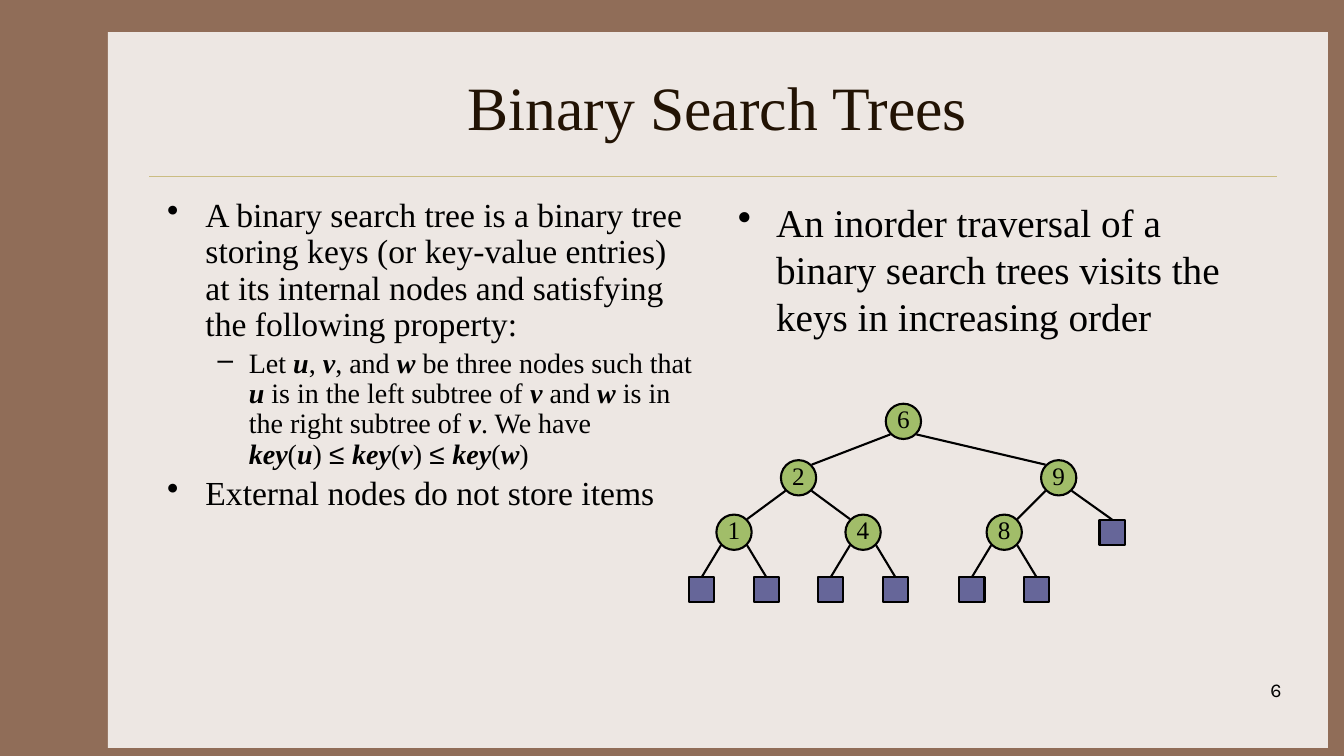
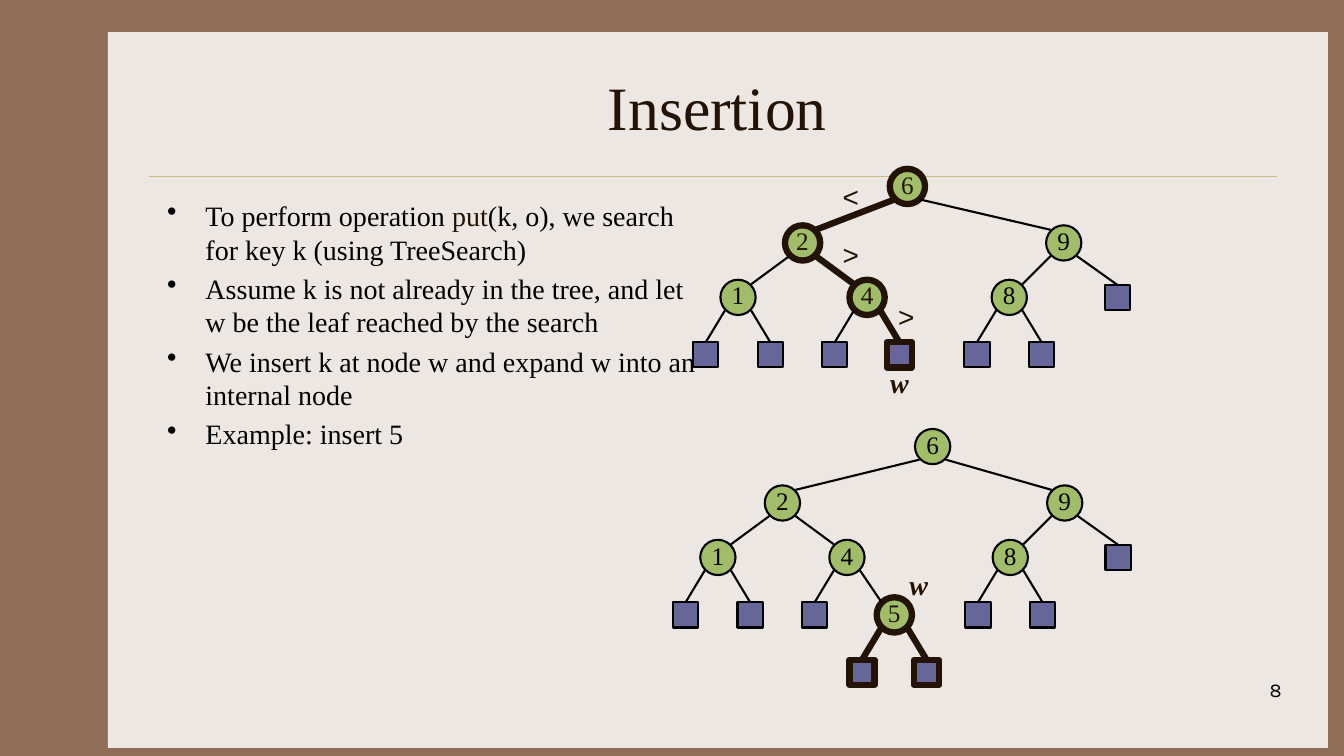
import dataclasses
import typing

import pptx
import pptx.dml.color
import pptx.enum.shapes
import pptx.enum.text
import pptx.oxml.ns
import pptx.util
from lxml import etree

Inches = pptx.util.Inches
Pt = pptx.util.Pt
Shape = pptx.enum.shapes.MSO_SHAPE
Anchor = pptx.enum.text.MSO_ANCHOR
Align = pptx.enum.text.PP_ALIGN

SERIF, SANS, NUMBER_FONT = "Times New Roman", "Arial", "Karla"
BROWN, PAPER, GOLD = "906D58", "EDE7E3", "CBBD83"
INK, ACCENT = "000000", "221304"
NODE_FILL, LEAF_FILL = "A1BD69", "666699"

NODE_SIZE, LEAF_SIZE = 0.35, 0.25
LEVEL_CENTERS = (0.18, 0.74, 1.28, 1.85, 2.42)
EDGE_INSET = 0.13
LEAF_DX = 0.32
BODY_BOX = (1.56, 1.92, 5.44, 4.5)


@dataclasses.dataclass
class Node:
    """A tree node; dx is its centre's offset from its parent, no key means a leaf."""
    dx: float
    key: str = ""
    children: typing.Tuple["Node", ...] = ()
    marked: bool = False


def color(hex_code):
    return pptx.dml.color.RGBColor.from_string(hex_code)


def set_font(font, name, size, hex_code):
    font.name, font.size = name, Pt(size)
    font.color.rgb = color(hex_code)


def add_box(slide, kind, left, top, width, height, fill, line=None, weight=1.5):
    box = slide.shapes.add_shape(kind, Inches(left), Inches(top), Inches(width), Inches(height))
    box.shadow.inherit = False
    box.fill.solid()
    box.fill.fore_color.rgb = color(fill)
    if line:
        box.line.color.rgb = color(line)
        box.line.width = Pt(weight)
    else:
        box.line.fill.background()
    return box


def add_line(slide, start, end, line, weight):
    ends = [Inches(value) for value in (*start, *end)]
    connector = slide.shapes.add_connector(pptx.enum.shapes.MSO_CONNECTOR.STRAIGHT, *ends)
    connector.line.color.rgb = color(line)
    connector.line.width = Pt(weight)
    etree.SubElement(connector._element.spPr, pptx.oxml.ns.qn("a:effectLst"))
    return connector


def add_text_frame(slide, left, top, width, height, wrap=True):
    frame = slide.shapes.add_textbox(
        Inches(left), Inches(top), Inches(width), Inches(height)).text_frame
    frame.word_wrap = wrap
    return frame


def add_label(slide, text, box, name, size, hex_code, align=Align.LEFT, wrap=True):
    frame = add_text_frame(slide, *box, wrap=wrap)
    paragraph = frame.paragraphs[0]
    paragraph.text, paragraph.alignment = text, align
    set_font(paragraph.font, name, size, hex_code)
    return frame


def add_frame(presentation, title, number):
    """Add a slide with the shared panel, title, rule and page number."""
    slide = presentation.slides.add_slide(presentation.slide_layouts[6])
    slide.background.fill.solid()
    slide.background.fill.fore_color.rgb = color(BROWN)
    add_box(slide, Shape.RECTANGLE, 1.07, 0.32, 12.1, 7.1, PAPER)
    add_line(slide, (1.48, 1.75), (12.67, 1.75), GOLD, 0.25)
    heading = add_label(slide, title, (1.56, 0.42, 11.11, 1.25), SERIF, 44, ACCENT, Align.CENTER)
    heading.vertical_anchor = Anchor.MIDDLE
    add_label(slide, number, (10.03, 6.68, 2.78, 0.5), NUMBER_FONT, 14, INK, Align.RIGHT)
    return slide


def set_bullet(paragraph, level):
    margin, hanging, mark = ((0.38, 0.38, "•"), (0.81, 0.31, "–"))[level]
    paragraph.level = level
    properties = paragraph._p.get_or_add_pPr()
    properties.set("marL", str(Inches(margin)))
    properties.set("indent", str(-Inches(hanging)))
    etree.SubElement(properties, pptx.oxml.ns.qn("a:buChar")).set("char", mark)


def add_marked_runs(paragraph, text):
    """Split text at |; * starts a bold italic piece, ^ an accented one."""
    for piece in text.split("|"):
        if piece == "\n":
            paragraph.add_line_break()
            continue
        run = paragraph.add_run()
        run.text = piece.lstrip("*^")
        if piece.startswith("*"):
            run.font.bold = run.font.italic = True
        elif piece.startswith("^"):
            run.font.color.rgb = color(ACCENT)
        elif piece.startswith("≤"):
            run.font.name = SANS


def add_bullets(slide, box, items, line_spacing=1.0):
    """Items are (level, size, marked text)."""
    frame = add_text_frame(slide, *box)
    for index, (level, size, text) in enumerate(items):
        paragraph = frame.add_paragraph() if index else frame.paragraphs[0]
        set_bullet(paragraph, level)
        paragraph.line_spacing = line_spacing
        paragraph.space_before = Pt(size * 0.2)
        set_font(paragraph.font, SERIF, size, INK)
        add_marked_runs(paragraph, text)


def add_node(slide, node, x, y):
    kind, size, fill = ((Shape.OVAL, NODE_SIZE, NODE_FILL) if node.key
                        else (Shape.RECTANGLE, LEAF_SIZE, LEAF_FILL))
    line, weight = (ACCENT, 4.5) if node.marked else (INK, 1.5)
    shape = add_box(slide, kind, x - size / 2, y - size / 2, size, size, fill, line, weight)
    if node.key:
        frame = shape.text_frame
        frame.word_wrap = False
        frame.vertical_anchor = Anchor.MIDDLE
        frame.margin_left = frame.margin_top = frame.margin_right = 0
        frame.margin_bottom = Inches(0.05)
        paragraph = frame.paragraphs[0]
        paragraph.text, paragraph.alignment = node.key, Align.CENTER
        set_font(paragraph.font, SERIF, 18, line)
    return shape


def add_tree(slide, node, x, top, depth=0):
    """Draw node centred on x, then its subtrees and the edges to them."""
    y = top + LEVEL_CENTERS[depth]
    shape = add_node(slide, node, x, y)
    for child in node.children:
        child_x, child_y = x + child.dx, top + LEVEL_CENTERS[depth + 1]
        child_shape = add_tree(slide, child, child_x, top, depth + 1)
        side = EDGE_INSET if child.dx > 0 else -EDGE_INSET
        line, weight = (ACCENT, 4.5) if node.marked and child.marked else (INK, 1.5)
        edge = add_line(slide, (x + side, y + EDGE_INSET),
                        (child_x - side, child_y - EDGE_INSET), line, weight)
        if not child.key:
            edge.end_connect(child_shape, 0)
    return shape


def leaves(left_marked=False, right_marked=False):
    return Node(-LEAF_DX, marked=left_marked), Node(LEAF_DX, marked=right_marked)


def search_tree(left_dx, right_dx, node_4, path_marked=False):
    """The shared tree 6, 2, 9, 1, 4, 8 with its own subtree at 4."""
    node_2 = Node(left_dx, "2", (Node(-0.64, "1", leaves()), node_4), path_marked)
    node_9 = Node(right_dx, "9", (Node(-0.54, "8", leaves()), Node(0.53)))
    return Node(0, "6", (node_2, node_9), path_marked)


def add_tree_labels(slide, root_x, top, labels):
    """Labels are (text, dx, dy), measured from the top of the root."""
    for text, dx, dy in labels:
        is_name = text.isalpha()
        frame = add_label(slide, text, (root_x + dx, top + dy, 0.39 if is_name else 0.35, 0.43),
                          SERIF if is_name else SANS, 20, ACCENT, wrap=False)
        if is_name:
            frame.paragraphs[0].font.bold = frame.paragraphs[0].font.italic = True


def build_definition(presentation):
    slide = add_frame(presentation, "Binary Search Trees", "6")
    add_bullets(slide, BODY_BOX, [
        (0, 24, "A binary search tree is a binary tree storing keys (or key-value entries) "
                "at its internal nodes and satisfying the following property:"),
        (1, 20, "Let |*u|, |*v|, and |*w| be three nodes such that |*u| is in the left subtree of "
                "|*v| and |*w| is in the right subtree of |*v|. We have |\n|"
                "*key|(|*u|) |≤ |*key|(|*v|) |≤ |*key|(|*w|)"),
        (0, 24, "External nodes do not store items"),
    ], line_spacing=0.9)
    add_bullets(slide, (7.22, 1.92, 5.44, 1.52), [
        (0, 28, "An inorder traversal of a binary search trees visits the keys in increasing order"),
    ])
    add_tree(slide, search_tree(-1.04, 1.54, Node(0.64, "4", leaves())), 8.96, 4)


def build_insertion(presentation):
    slide = add_frame(presentation, "Insertion", "8")
    add_bullets(slide, BODY_BOX, [
        (0, 20, "To perform operation |^put|(k, o), we search for key k (using TreeSearch)"),
        (0, 20, "Assume k is not already in the tree, and let w be the leaf reached by the search"),
        (0, 20, "We insert k at node w and expand w into an internal node"),
        (0, 20, "Example: insert 5"),
    ])
    searched_4 = Node(0.64, "4", leaves(right_marked=True), True)
    inserted_5 = Node(0.47, "5", leaves(True, True), True)
    expanded_4 = Node(0.64, "4", (Node(-LEAF_DX), inserted_5))
    stages = [
        (search_tree(-1.04, 1.55, searched_4, True), 9, 1.67,
         [("<", -0.74, 0.06), (">", -0.74, 0.64), (">", -0.19, 1.25), ("w", -0.27, 1.91)]),
        (search_tree(-1.49, 1.31, expanded_4), 9.25, 4.25, [("w", -0.33, 1.33)]),
    ]
    for tree, root_x, top, labels in stages:
        add_tree(slide, tree, root_x, top)
        add_tree_labels(slide, root_x, top, labels)


def main():
    presentation = pptx.Presentation()
    presentation.slide_width, presentation.slide_height = Inches(13.33), Inches(7.5)
    build_definition(presentation)
    build_insertion(presentation)
    presentation.save("out.pptx")


if __name__ == "__main__":
    main()
